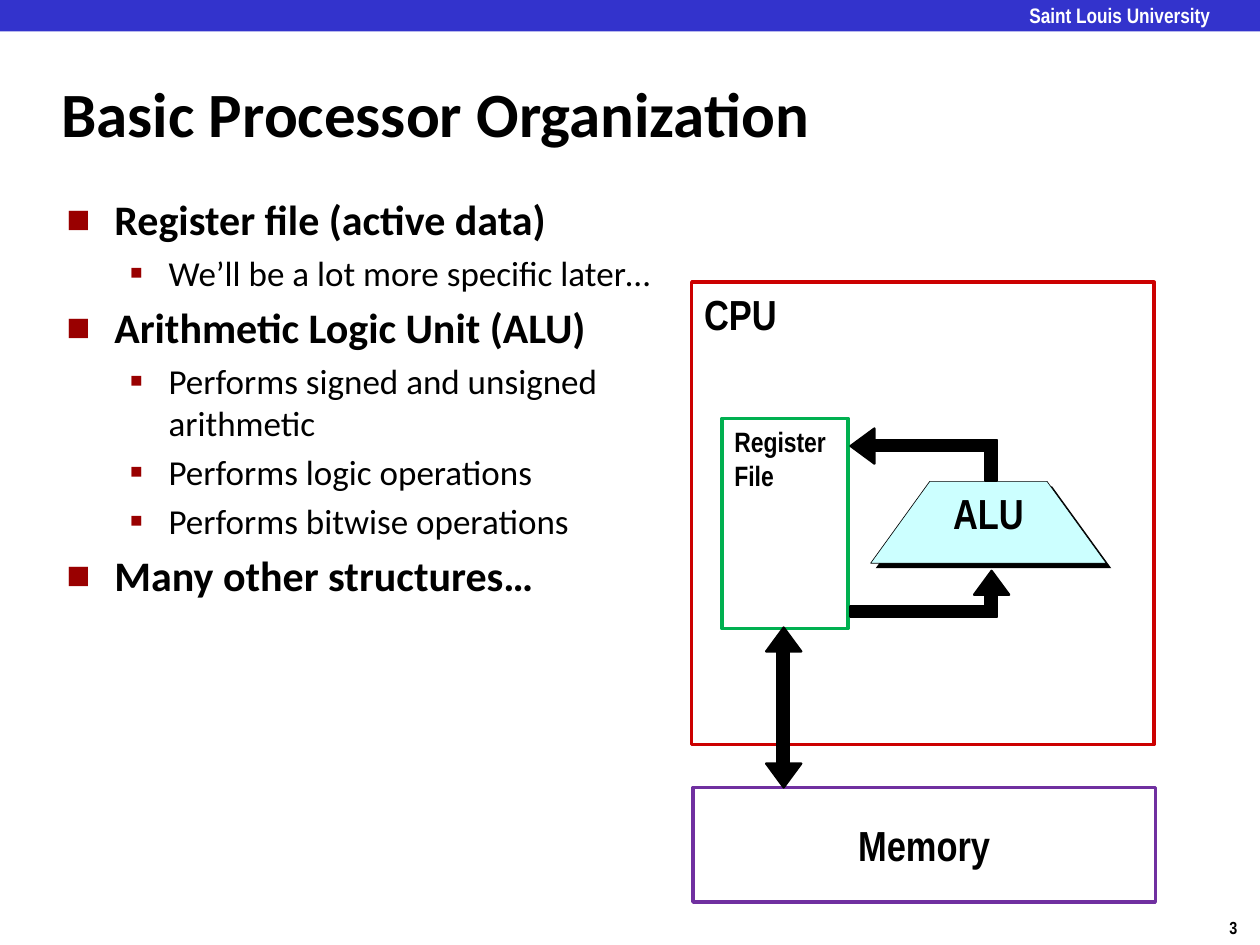
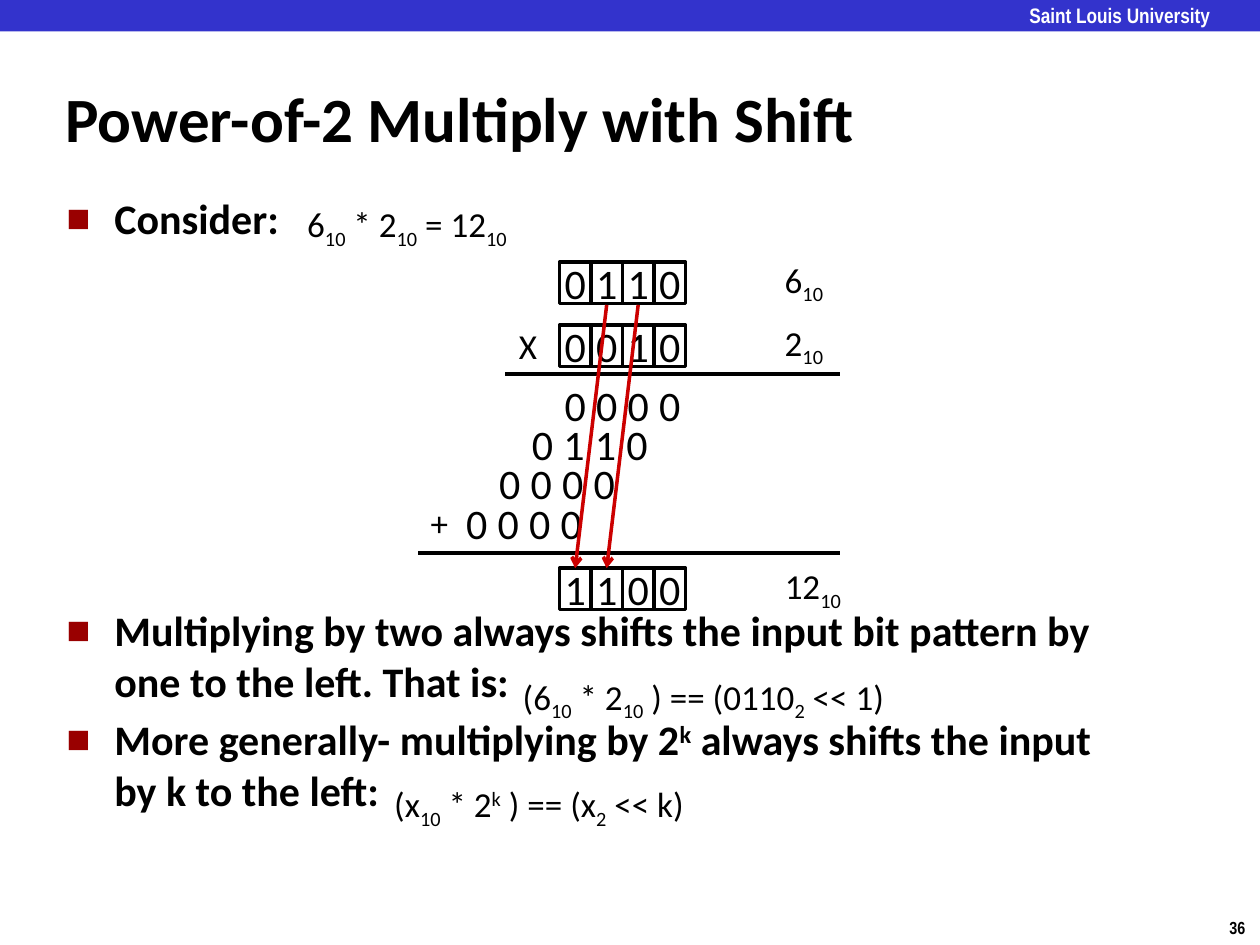
from lxml import etree
from pptx import Presentation
from pptx import util as u
from pptx.dml.color import RGBColor
from pptx.enum import shapes, text
from pptx.oxml.ns import qn

BLACK = RGBColor(0x00, 0x00, 0x00)
WHITE = RGBColor(0xFF, 0xFF, 0xFF)
BAND_BLUE = RGBColor(0x33, 0x33, 0xCC)
BULLET_RED = RGBColor(0x99, 0x00, 0x00)
RED = RGBColor(0xCC, 0x00, 0x00)
GREEN = RGBColor(0x00, 0xB0, 0x50)
PURPLE = RGBColor(0x70, 0x30, 0xA0)
PALE_CYAN = RGBColor(0xCC, 0xFF, 0xFF)

BODY_FONT = "Calibri"
LABEL_FONT = "Arial Narrow"
WIDTH, HEIGHT = 10, 7.5
BODY_LEFT, BODY_WIDTH = 0.43, 8.64
BASELINES = {"_": "-25000", "^": "30000"}

# Per outline level: size, bold, left margin, hanging indent, bullet, bullet percent
LEVELS = [
    (24, True, 0.38, 0.38, "■", 60),
    (20, False, 0.81, 0.31, "▪", 110),
]

# Multiplication layout: one column per bit, partial products step left and down
BIT_WIDTH, BIT_HEIGHT = 0.25, 0.33
BITS_LEFT = 4.44
VALUES_LEFT = 6.13
PARTIAL_TOP, PARTIAL_STEP, PARTIAL_SHIFT = 3.05, 0.31, 0.26


def inches(*lengths):
    return [u.Inches(length) for length in lengths]


def set_font(paragraph, size, name=BODY_FONT, bold=False, color=BLACK):
    font = paragraph.font
    font.size, font.name, font.bold = u.Pt(size), name, bold
    font.color.rgb = color


def write_spans(paragraph, marked):
    """Split at | and lower pieces that start with _ or raise those with ^."""
    for piece in marked.split("|"):
        baseline = BASELINES.get(piece[0])
        span = paragraph.add_run()
        span.text = piece[1:] if baseline else piece
        if baseline:
            span._r.get_or_add_rPr().set("baseline", baseline)


def add_text(page, place, marked, size, wrap=True, margin=None, anchor=None, **font):
    box = page.shapes.add_textbox(*inches(*place))
    frame = box.text_frame
    frame.word_wrap = wrap
    if not wrap:
        frame.auto_size = text.MSO_AUTO_SIZE.SHAPE_TO_FIT_TEXT
    if margin is not None:
        frame.margin_left = frame.margin_right = u.Inches(margin)
        frame.margin_top = frame.margin_bottom = u.Inches(margin)
    if anchor is not None:
        frame.vertical_anchor = anchor
    para = frame.paragraphs[0]
    write_spans(para, marked)
    set_font(para, size, **font)


def add_bullet(paragraph, left, hang, symbol, percent):
    props = paragraph._p.get_or_add_pPr()
    props.set("marL", str(u.Inches(left)))
    props.set("indent", str(-u.Inches(hang)))
    color = etree.SubElement(props, qn("a:buClr"))
    etree.SubElement(color, qn("a:srgbClr"), val=str(BULLET_RED))
    etree.SubElement(props, qn("a:buSzPct"), val=str(percent * 1000))
    etree.SubElement(props, qn("a:buFont"), typeface=BODY_FONT)
    etree.SubElement(props, qn("a:buChar"), char=symbol)


def add_outline(page, top, height, items):
    """Add a bulleted text box from (level, text) pairs."""
    box = page.shapes.add_textbox(*inches(BODY_LEFT, top, BODY_WIDTH, height))
    frame = box.text_frame
    frame.word_wrap = True
    for index, (level, marked) in enumerate(items):
        size, bold, *bullet = LEVELS[level]
        para = frame.add_paragraph() if index else frame.paragraphs[0]
        para.level = level
        if index:
            para.space_before = u.Pt(size * 0.2)
        add_bullet(para, *bullet)
        lines = marked.split("\n")
        for number, line in enumerate(lines):
            if number:
                para.add_line_break()
            write_spans(para, line)
        set_font(para, size, bold=bold)


def style_shape(shape, fill=None, line=None, weight=2):
    shape.shadow.inherit = False
    if fill is None:
        shape.fill.background()
    else:
        shape.fill.solid()
        shape.fill.fore_color.rgb = fill
    if line is None:
        shape.line.fill.background()
    else:
        shape.line.color.rgb = line
        shape.line.width = u.Pt(weight)


def add_rect(page, place, **style):
    rect = page.shapes.add_shape(shapes.MSO_SHAPE.RECTANGLE, *inches(*place))
    style_shape(rect, **style)
    return rect


def add_polygon(page, points, **style):
    start, *others = [tuple(inches(*point)) for point in points]
    builder = page.shapes.build_freeform(*start, scale=1.0)
    builder.add_line_segments(others, close=True)
    polygon = builder.convert_to_shape()
    style_shape(polygon, **style)
    return polygon


def label(shape, words, size, centered=True, middle=True, wrap=True, **font):
    frame = shape.text_frame
    frame.word_wrap = wrap
    anchors = text.MSO_ANCHOR
    frame.vertical_anchor = anchors.MIDDLE if middle else anchors.TOP
    para = frame.paragraphs[0]
    para.text = words
    para.alignment = text.PP_ALIGN.CENTER if centered else text.PP_ALIGN.LEFT
    set_font(para, size, **font)


def add_line(page, start, end, color=BLACK, arrow=False):
    line = page.shapes.add_connector(
        shapes.MSO_CONNECTOR.STRAIGHT, *inches(*start, *end))
    line.line.color.rgb = color
    line.line.width = u.Pt(2)
    if arrow:
        etree.SubElement(line.line._get_or_add_ln(), qn("a:tailEnd"), type="arrow")
    etree.SubElement(line._element.spPr, qn("a:effectLst"))


def add_page(deck, number, title, title_place):
    """Add a slide with the blue band, school name, page number and title."""
    page = deck.slides.add_slide(deck.slide_layouts[6])
    add_text(page, (9.66, 7.23, 0.34, 0.27), str(number), 10, wrap=False,
             name=LABEL_FONT, bold=True)
    add_rect(page, (0, 0, WIDTH, 0.25), fill=BAND_BLUE)
    add_text(page, (8.17, 0.02, 1.67, 0.19), "Saint Louis University", 12, margin=0,
             name=LABEL_FONT, bold=True, color=WHITE)
    add_text(page, title_place, title, 36, bold=True, anchor=text.MSO_ANCHOR.MIDDLE)
    return page


def add_bar(page, *place):
    add_rect(page, place, fill=BLACK, line=BLACK, weight=1.25)


def add_arrowhead(page, tip, direction, length=0.19, half=0.14):
    """Add a triangle at tip that points along direction, a unit (x, y) step."""
    (x, y), (dx, dy) = tip, direction
    base_x, base_y = x - dx * length, y - dy * length
    corners = [(base_x + dy * side, base_y + dx * side) for side in (half, -half)]
    add_polygon(page, [tip, *corners], fill=BLACK, line=BLACK, weight=1.25)


def add_alu(page):
    left, top, width, height, slant, shadow = 6.91, 3.82, 1.87, 0.65, 0.47, 0.04
    outline = [(left, top + height), (left + slant, top),
               (left + width - slant, top), (left + width, top + height)]
    add_polygon(page, [(x + shadow, y + shadow) for x, y in outline], fill=BLACK)
    alu = add_polygon(page, outline, fill=PALE_CYAN, line=BLACK, weight=0.38)
    label(alu, "ALU", 24, middle=False, name=LABEL_FONT, bold=True)


def add_cpu_diagram(page):
    blocks = [
        ("CPU", (5.49, 2.24, 3.67, 3.67), RED, 24, False),
        ("Register File", (5.73, 3.32, 1, 1.67), GREEN, 16, False),
        ("Memory", (5.5, 6.25, 3.67, 0.91), PURPLE, 24, True),
    ]
    for words, place, color, size, centered in blocks:
        block = add_rect(page, place, line=color)
        label(block, words, size, centered=centered, middle=centered,
              name=LABEL_FONT, bold=True)
    add_alu(page)

    thick = 0.09
    add_bar(page, 6.75, 4.81, 1.16, thick)
    add_bar(page, 7.82, 4.71, thick, 0.19)
    add_arrowhead(page, (7.87, 4.53), (0, -1))
    add_bar(page, 7.82, 3.49, thick, 0.33)
    add_bar(page, 6.89, 3.49, 1.02, thick)
    add_arrowhead(page, (6.75, 3.54), (-1, 0))
    add_bar(page, 6.17, 5.17, thick, 0.89)
    add_arrowhead(page, (6.22, 4.98), (0, -1))
    add_arrowhead(page, (6.22, 6.25), (0, 1))


def add_formula(page, left, top, width, marked):
    add_text(page, (left, top, width, 0.44), marked, 20, wrap=False)


def add_bits(page, left, top, bits, line=None):
    for column, bit in enumerate(bits):
        place = (left + column * BIT_WIDTH, top, BIT_WIDTH, BIT_HEIGHT)
        cell = add_rect(page, place, fill=WHITE, line=line)
        label(cell, bit, 24, wrap=False)


def add_multiplication(page):
    numbers = [("0110", 2.08, "6|_10", 0.53), ("0010", 2.58, "2|_10", 0.53),
               ("1100", 4.51, "12|_10", 0.68)]
    for bits, top, value, width in numbers:
        add_bits(page, BITS_LEFT, top, bits, line=BLACK)
        add_formula(page, VALUES_LEFT, top - 0.08, width, value)
    for row, bits in enumerate(["0000", "0110", "0000", "0000"]):
        add_bits(page, BITS_LEFT - row * PARTIAL_SHIFT,
                 PARTIAL_TOP + row * PARTIAL_STEP, bits)
    add_formula(page, 4.02, 2.53, 0.35, "X")
    add_formula(page, 3.32, 3.93, 0.35, "+")
    for left, y in [(4.01, 2.97), (3.32, 4.39)]:
        add_line(page, (left, y), (6.67, y))
    for column in (1, 2):
        x = BITS_LEFT + (column + 0.5) * BIT_WIDTH
        add_line(page, (x, 2.42), (x - BIT_WIDTH, 4.51), RED, arrow=True)


def build_processor_page(deck):
    page = add_page(deck, 3, "Basic Processor Organization", (0.39, 0.48, 8.3, 0.83))
    add_outline(page, 1.49, 5.44, [
        (0, "Register file (active data)"),
        (1, "We’ll be a lot more specific later…"),
        (0, "Arithmetic Logic Unit (ALU)"),
        (1, "Performs signed and unsigned\narithmetic"),
        (1, "Performs logic operations"),
        (1, "Performs bitwise operations"),
        (0, "Many other structures…"),
    ])
    add_cpu_diagram(page)


def build_shift_page(deck):
    page = add_page(deck, 36, "Power-of-2 Multiply with Shift", (0.42, 0.62, 8.09, 0.63))
    add_outline(page, 1.48, 0.5, [(0, "Consider:")])
    add_outline(page, 4.75, 2.17, [
        (0, "Multiplying by two always shifts the input bit pattern by "
            "one to the left. That is:"),
        (0, "More generally- multiplying by 2|^k| always shifts the input "
            "by k to the left:"),
    ])
    add_multiplication(page)
    add_formula(page, 2.34, 1.56, 1.87, "6|_10| * 2|_10| = 12|_10")
    add_formula(page, 4.05, 5.31, 3.2, "(6|_10| * 2|_10| ) == (0110|_2| << 1)")
    add_formula(page, 3.03, 6.16, 2.62, "(x|_10| * 2|^k| ) == (x|_2| << k)")


def main():
    deck = Presentation()
    deck.slide_width, deck.slide_height = inches(WIDTH, HEIGHT)
    build_processor_page(deck)
    build_shift_page(deck)
    deck.save("out.pptx")


if __name__ == "__main__":
    main()
